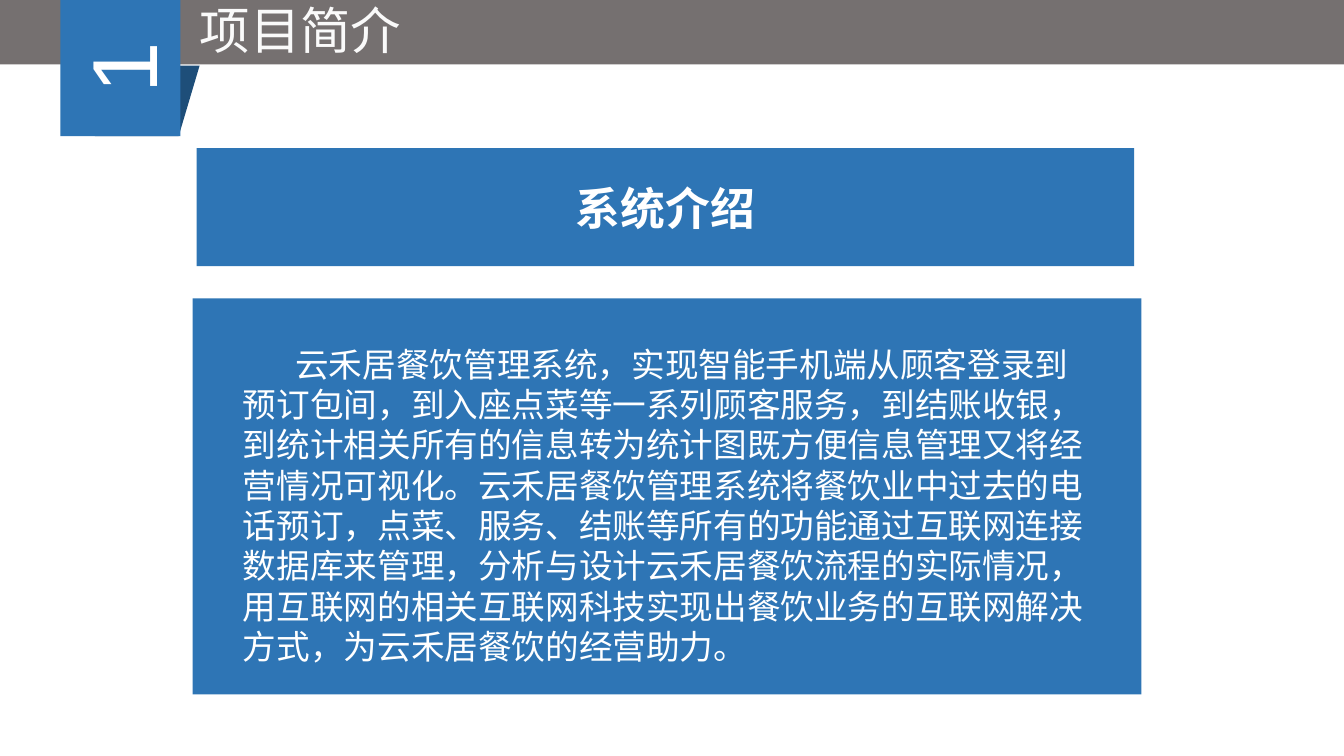
from dataclasses import dataclass
from typing import Any

from lxml import etree
from pptx import Presentation
from pptx import util as u
from pptx.dml.color import RGBColor
from pptx.enum import shapes, text
from pptx.oxml.ns import qn

COLORS = {
    "bar": "757070",
    "fold": "1E4E79",
    "panel": "2E75B5",
    "title": "FAFAFA",
    "white": "FFFFFF",
}
LATIN_FONT = "Arial"
CHINESE_FONT = "Noto Sans CJK SC"
INTRODUCTION = (
    "云禾居餐饮管理系统，实现智能手机端从顾客登录到预订包间，到入座点菜等一系列顾客服务，"
    "到结账收银，到统计相关所有的信息转为统计图既方便信息管理又将经营情况可视化。"
    "云禾居餐饮管理系统将餐饮业中过去的电话预订，点菜、服务、结账等所有的功能通过"
    "互联网连接数据库来管理，分析与设计云禾居餐饮流程的实际情况，用互联网的相关"
    "互联网科技实现出餐饮业务的互联网解决方式，为云禾居餐饮的经营助力。"
)


@dataclass(frozen=True)
class Words:
    content: str
    size: float
    font: str = CHINESE_FONT
    color: str = "white"
    bold: bool = False
    align: Any = text.PP_ALIGN.CENTER
    anchor: Any = text.MSO_ANCHOR.MIDDLE


@dataclass(frozen=True)
class Block:
    left: float
    top: float
    width: float
    height: float
    fill: str
    rotation: float = 0
    preset: Any = shapes.MSO_SHAPE.RECTANGLE
    words: Words | None = None


def apply_format(target: Any, values: dict[str, Any]) -> None:
    for name, value in values.items():
        setattr(target, name, value)


def write_words(shape: Any, words: Words) -> Any:
    frame = shape.text_frame
    apply_format(frame, {
        "word_wrap": True,
        "auto_size": text.MSO_AUTO_SIZE.NONE,
        "vertical_anchor": words.anchor,
    })
    paragraph = frame.paragraphs[0]
    apply_format(paragraph, {
        "alignment": words.align,
        "space_before": u.Pt(0),
        "space_after": u.Pt(0),
    })
    run = paragraph.add_run()
    run.text = words.content
    apply_format(run.font, {
        "size": u.Pt(words.size),
        "name": words.font,
        "bold": words.bold,
    })
    run.font.color.rgb = RGBColor.from_string(COLORS[words.color])
    east_asian = etree.SubElement(run.font._element, qn("a:ea"))
    east_asian.set("typeface", CHINESE_FONT)
    return paragraph


def draw_block(slide: Any, block: Block) -> None:
    shape = slide.shapes.add_shape(
        block.preset, u.Inches(block.left), u.Inches(block.top),
        u.Inches(block.width), u.Inches(block.height))
    shape.rotation = block.rotation
    shape.shadow.inherit = False
    shape.fill.solid()
    shape.fill.fore_color.rgb = RGBColor.from_string(COLORS[block.fill])
    shape.line.fill.background()
    if block.words:
        write_words(shape, block.words)


def fill_placeholder(slide: Any, shape: Any, place: dict[str, float], words: Words) -> Any:
    apply_format(shape, {name: u.Inches(value) for name, value in place.items()})
    slide.shapes._spTree.append(shape._element)
    return write_words(shape, words)


BLOCKS = [
    Block(0, -0.01, 13.33, 0.65, "bar"),
    Block(0.94, 0.65, 1.04, 0.7, "fold", 180, shapes.MSO_SHAPE.FLOWCHART_DATA),
    Block(0.52, 0.08, 1.35, 1.19, "panel", 270, words=Words("1", 66, LATIN_FONT)),
    Block(1.95, 1.47, 9.3, 1.17, "panel", words=Words("系统介绍", 32, bold=True)),
    Block(1.91, 2.96, 9.41, 3.93, "panel"),
]

presentation = Presentation()
presentation.slide_width = u.Inches(13.33)
presentation.slide_height = u.Inches(7.5)
slide = presentation.slides.add_slide(presentation.slide_layouts[1])
title, body = slide.placeholders

for block in BLOCKS:
    draw_block(slide, block)

fill_placeholder(
    slide, title,
    {"left": 1.52, "top": -0.06, "width": 2.92, "height": 0.71},
    Words("项目简介", 36, LATIN_FONT, "title"))
introduction = fill_placeholder(
    slide, body,
    {"left": 2.31, "top": 3.36, "width": 8.57, "height": 3.33},
    Words(INTRODUCTION, 24, align=text.PP_ALIGN.LEFT, anchor=text.MSO_ANCHOR.TOP))
introduction.line_spacing = u.Pt(28.8)
properties = introduction._element.get_or_add_pPr()
properties.set("marL", "0")
properties.set("indent", str(u.Inches(0.52)))
etree.SubElement(properties, qn("a:buNone"))

presentation.save("out.pptx")
